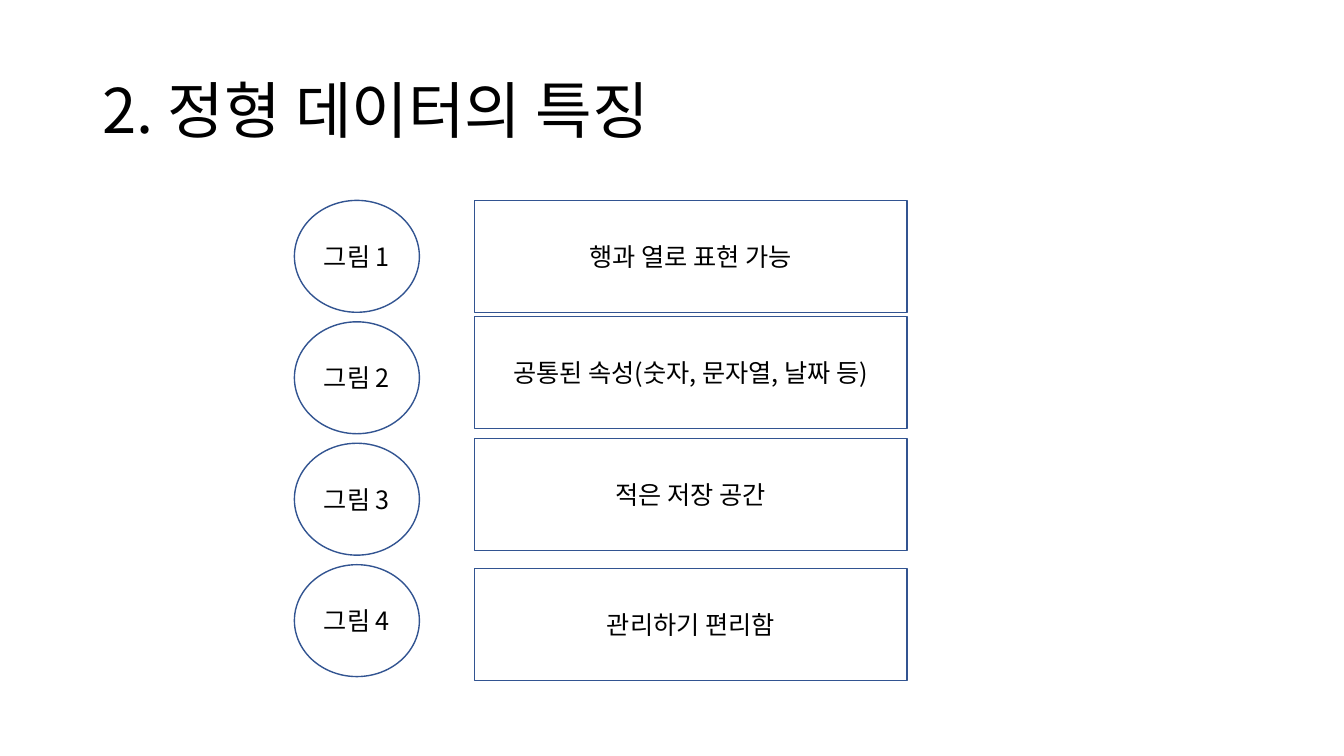
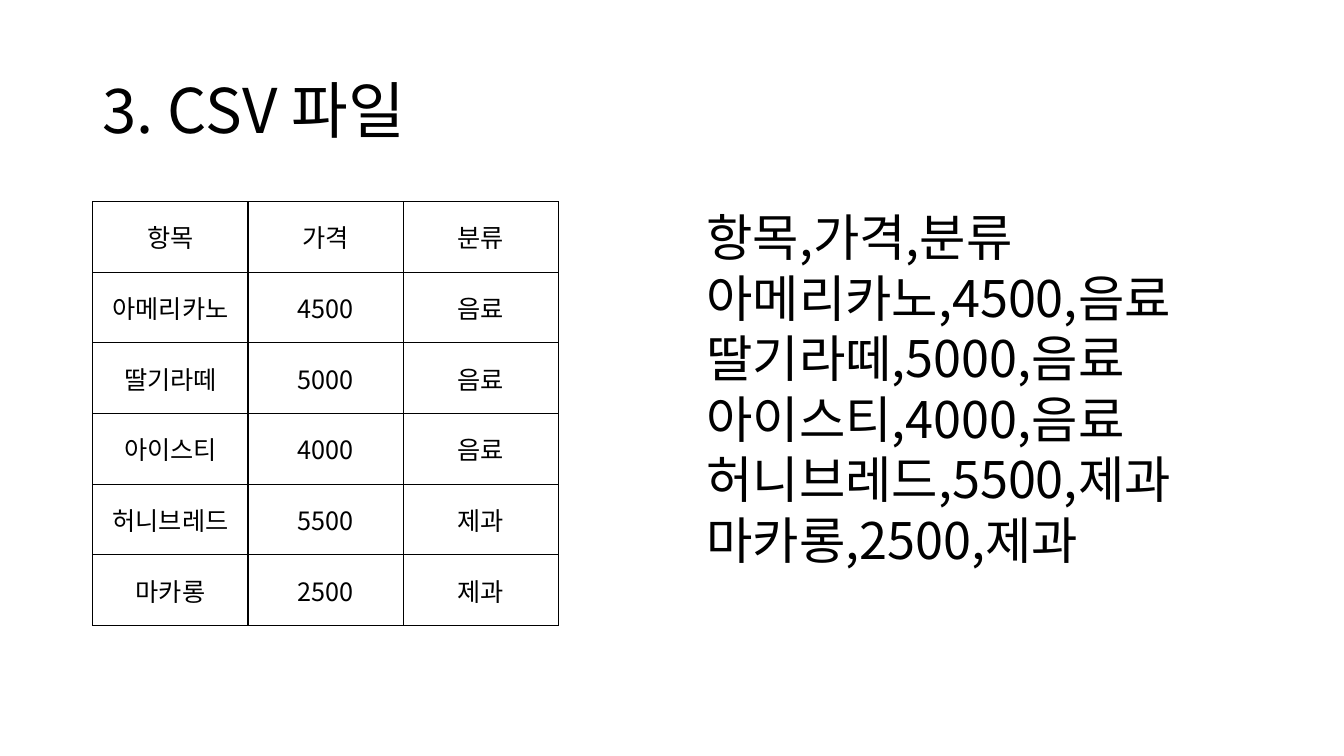
from dataclasses import dataclass

from lxml.etree import SubElement
from pptx import Presentation
from pptx.dml.color import RGBColor
from pptx.enum.shapes import MSO_SHAPE as Shape
from pptx.enum.text import MSO_ANCHOR as Anchor, MSO_AUTO_SIZE as AutoSize, PP_ALIGN as Align
from pptx.oxml.ns import qn
from pptx.util import Cm, Pt

# Shared style
FONT = "Noto Sans CJK KR"
INK, OUTLINE = "000000", "325491"
LEFT = 2.34


@dataclass
class Feature:
    label: str
    text: str
    box_top: float


FEATURES = [
    Feature("그림 1", "행과 열로 표현 가능", 5.05),
    Feature("그림 2", "공통된 속성(숫자, 문자열, 날짜 등)", 7.98),
    Feature("그림 3", "적은 저장 공간", 11.05),
    Feature("그림 4", "관리하기 편리함", 14.33),
]

MENU = [
    ("항목", "가격", "분류"),
    ("아메리카노", "4500", "음료"),
    ("딸기라떼", "5000", "음료"),
    ("아이스티", "4000", "음료"),
    ("허니브레드", "5500", "제과"),
    ("마카롱", "2500", "제과"),
]


def rgb(value: str) -> RGBColor:
    return RGBColor.from_string(value)


def write(tf, text: str, *, size: float = 18, color: str = INK,
          align=Align.CENTER, anchor=Anchor.MIDDLE, spacing: float = 1.0) -> None:
    """Fill a text frame, one paragraph per line of text."""
    tf.word_wrap = True
    tf.vertical_anchor = anchor
    for i, line in enumerate(text.split("\n")):
        p = tf.add_paragraph() if i else tf.paragraphs[0]
        p.alignment, p.line_spacing = align, spacing
        r = p.add_run()
        r.text = line
        r.font.size, r.font.name = Pt(size), FONT
        r.font.color.rgb = rgb(color)
        SubElement(r.font._element, qn("a:ea"), typeface=FONT)


def add_text(s, text: str, x: float, y: float, w: float, h: float, **fmt):
    sp = s.shapes.add_textbox(Cm(x), Cm(y), Cm(w), Cm(h))
    write(sp.text_frame, text, align=Align.LEFT, **fmt)
    return sp


def add_outlined(s, kind, text: str, x: float, y: float, w: float, h: float) -> None:
    sp = s.shapes.add_shape(kind, Cm(x), Cm(y), Cm(w), Cm(h))
    sp.shadow.inherit = False
    sp.fill.background()
    sp.line.color.rgb = rgb(OUTLINE)
    sp.line.width = Pt(1)
    write(sp.text_frame, text)


def add_borders(cell, color: str = INK, width: float = 1) -> None:
    tcPr = cell._tc.get_or_add_tcPr()
    for side in ("lnL", "lnR", "lnT", "lnB"):
        ln = SubElement(tcPr, qn(f"a:{side}"), w=str(Pt(width)))
        SubElement(SubElement(ln, qn("a:solidFill")), qn("a:srgbClr"), val=color)


def add_grid(s, rows: list, x: float, y: float, col_w: float, row_h: float) -> None:
    n_rows, n_cols = len(rows), len(rows[0])
    table = s.shapes.add_table(n_rows, n_cols, Cm(x), Cm(y),
                               Cm(col_w * n_cols), Cm(row_h * n_rows)).table
    table.first_row = table.horz_banding = False
    for col in table.columns:
        col.width = Cm(col_w)
    for row, values in zip(table.rows, rows):
        row.height = Cm(row_h)
        for cell, value in zip(row.cells, values):
            add_borders(cell)
            cell.fill.background()
            write(cell.text_frame, value)
            cell.vertical_anchor = Anchor.MIDDLE


def add_titled_slide(prs, title: str):
    s = prs.slides.add_slide(prs.slide_layouts[6])
    add_text(s, title, LEFT, 1.01, 29.21, 3.68, size=44, spacing=0.9)
    return s


prs = Presentation()
prs.slide_width, prs.slide_height = Cm(33.87), Cm(19.05)

# Features of structured data
s = add_titled_slide(prs, "2. 정형 데이터의 특징")
for i, feature in enumerate(FEATURES):
    add_outlined(s, Shape.OVAL, feature.label, 7.42, 5.05 + 3.06 * i, 3.15, 2.82)
    add_outlined(s, Shape.RECTANGLE, feature.text, 11.96, feature.box_top, 10.9, 2.82)

# The same menu as a table and as CSV text
s = add_titled_slide(prs, "3. CSV 파일")
add_grid(s, MENU, LEFT, 5.08, 3.91, 1.78)
csv_text = "\n".join(",".join(row) for row in MENU)
sp = add_text(s, csv_text, 17.55, 5.08, 13.64, 9.5, size=36, anchor=Anchor.TOP)
sp.text_frame.auto_size = AutoSize.SHAPE_TO_FIT_TEXT

prs.save("out.pptx")
